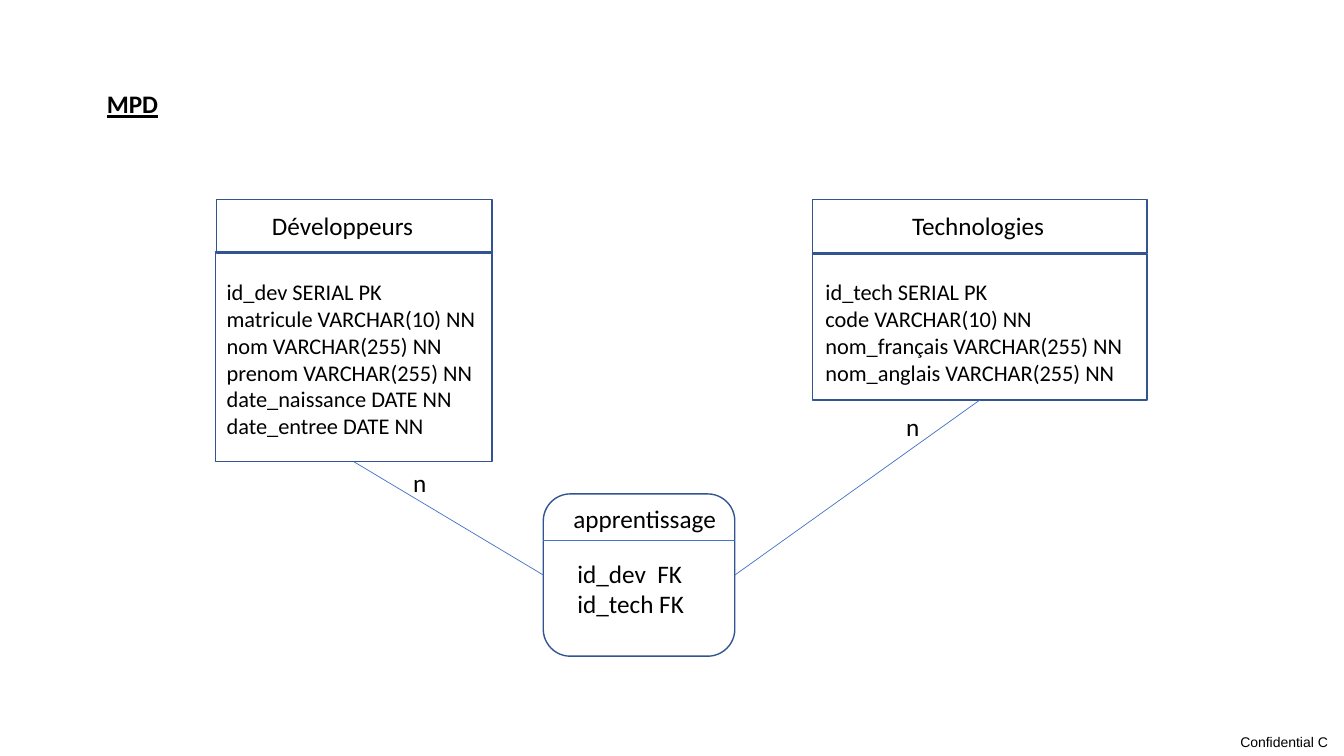
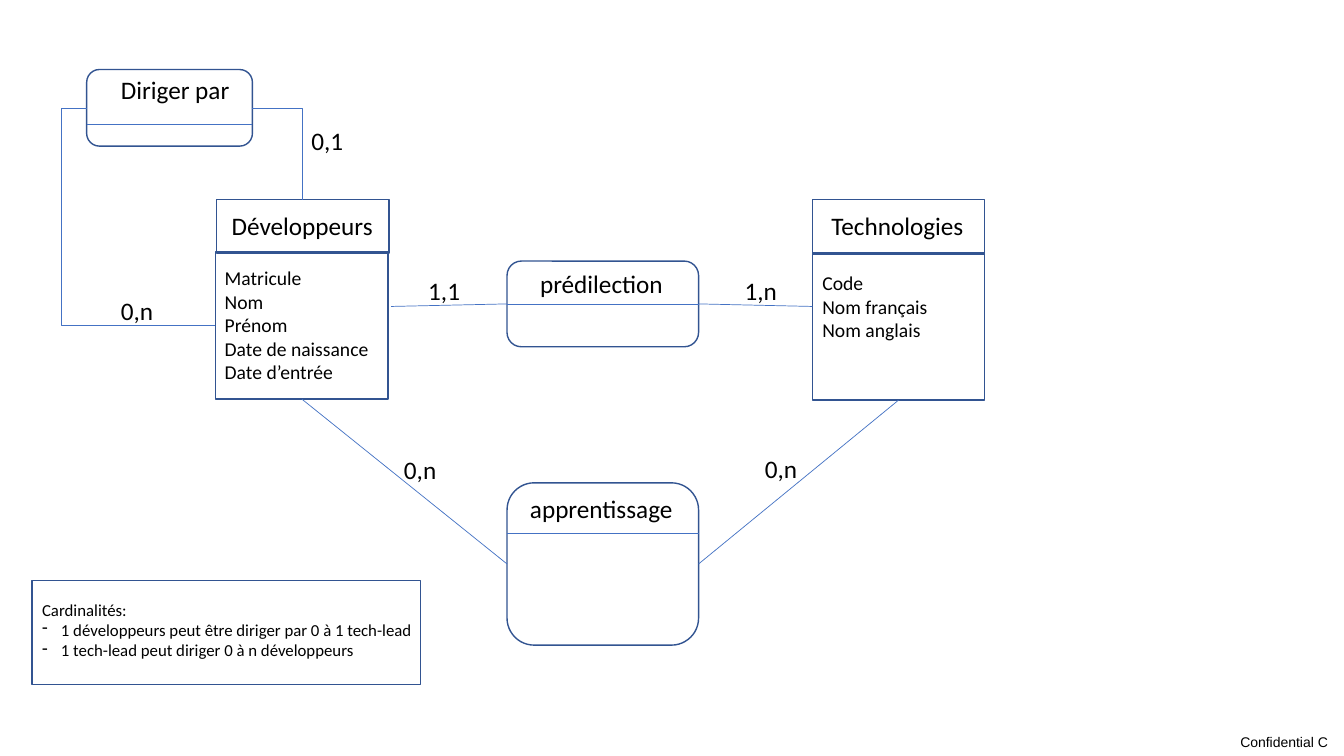
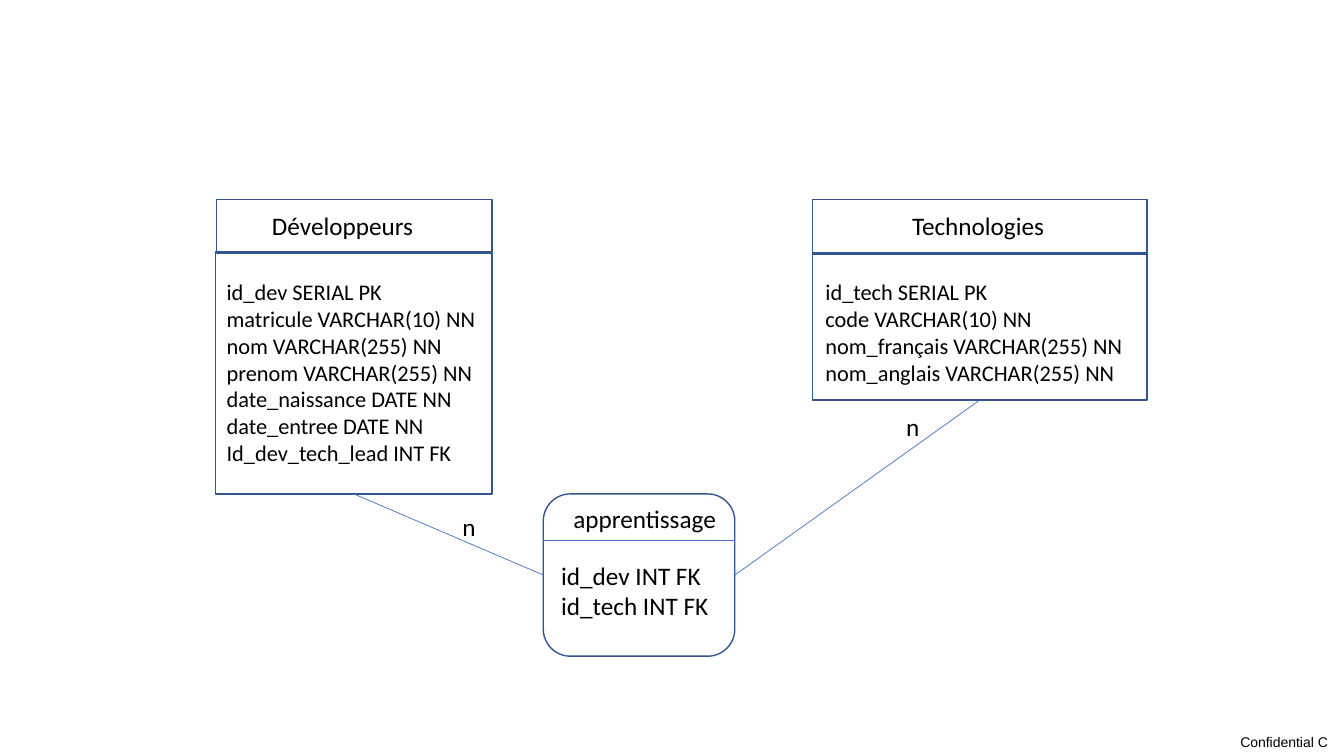
import pptx
import pptx.util
import pptx.dml.color
import pptx.enum.shapes
import pptx.enum.text
import pptx.oxml
import pptx.oxml.ns

Pt = pptx.util.Pt
RGBColor = pptx.dml.color.RGBColor
Shape = pptx.enum.shapes.MSO_SHAPE
Link = pptx.enum.shapes.MSO_CONNECTOR
Anchor = pptx.enum.text.MSO_ANCHOR
Align = pptx.enum.text.PP_ALIGN
Fit = pptx.enum.text.MSO_AUTO_SIZE

BLACK = RGBColor(0x00, 0x00, 0x00)
NAVY = RGBColor(0x32, 0x54, 0x91)
BLUE = RGBColor(0x44, 0x72, 0xC4)
RECT, ROUND = Shape.RECTANGLE, Shape.ROUNDED_RECTANGLE
TOP, LEFT, BOTTOM, RIGHT = range(4)
HEAD_Y, HEAD_H = 142.6, 38.2


def write(shape, text, **style):
    """Fill a shape with unwrapped lines; a line starting with "- " is a bullet."""
    frame = shape.text_frame
    frame.word_wrap = False
    frame.auto_size = Fit.SHAPE_TO_FIT_TEXT
    frame.vertical_anchor = Anchor.TOP
    for i, line in enumerate(text.split("\n")):
        para = frame.add_paragraph() if i else frame.paragraphs[0]
        para.alignment = Align.LEFT
        if line.startswith("- "):
            line = line[2:]
            props = para._p.get_or_add_pPr()
            props.set("marL", str(Pt(13.5)))
            props.set("indent", str(-Pt(13.5)))
            dash = pptx.oxml.ns.qn("a:buChar")
            props.append(props.makeelement(dash, {"char": "-"}))
        run = para.add_run()
        run.text = line
        for key, value in ({"name": "Calibri", "size": Pt(18)} | style).items():
            setattr(run.font, key, value)
        run.font.color.rgb = BLACK


def tables(extra, high, mark, keys, spot):
    """Describe a slide of physical tables; the first table has a varying height."""
    return {
        "boxes": {
            "dev head": (RECT, 154.8, HEAD_Y, 196.6, HEAD_H),
            "dev": (RECT, 154.1, 180, 197.3, high),
            "tech head": (RECT, 580.3, HEAD_Y, 239, HEAD_H),
            "tech": (RECT, 580.3, 181.4, 239, 104.4),
            "learn": (ROUND, 388.1, 352.8, 136.8, 115.9),
        },
        "rules": {"learn": 385.9},
        "links": [
            (("dev", BOTTOM), ("learn", LEFT)),
            (("learn", RIGHT), ("tech", BOTTOM)),
        ],
        "texts": [
            ("Développeurs", 187.2, 146.9, 115.2, 18),
            ("id_dev SERIAL PK\nmatricule VARCHAR(10) NN\nnom VARCHAR(255) NN\n"
             "prenom VARCHAR(255) NN\ndate_naissance DATE NN\n"
             "date_entree DATE NN" + extra, 154.8, 195.1, 194.4, 16),
            ("Technologies", 644.4, 146.9, 110.2, 18),
            ("id_tech SERIAL PK\ncode VARCHAR(10) NN\nnom_français VARCHAR(255) NN\n"
             "nom_anglais VARCHAR(255) NN", 582.5, 195.1, 229.7, 16),
            ("apprentissage", 402.5, 355.7, 117.4, 18),
            (keys, *spot, 18),
            ("n", *mark, 24.5, 18),
            ("n", 640.1, 290.2, 24.5, 18),
        ],
    }


model = {
    "boxes": {
        "dev head": (RECT, 154.8, HEAD_Y, 123.1, HEAD_H),
        "dev": (RECT, 154.1, 180, 123.1, 105.1),
        "tech head": (RECT, 580.3, HEAD_Y, 123.1, HEAD_H),
        "tech": (RECT, 580.3, 181.4, 123.1, 104.4),
        "love": (ROUND, 362.2, 186.5, 136.8, 61.2),
        "learn": (ROUND, 362.2, 344.9, 136.8, 115.9),
        "lead": (ROUND, 61.9, 49.7, 118.4, 54.7),
        "note": (RECT, 23, 414.7, 277.2, 74.2),
    },
    "rules": {"love": 217.1, "learn": 380.9, "lead": 88.6},
    "links": [
        ((279.4, 218.9), ("love", LEFT)),
        ((580.3, 218.9), ("love", RIGHT)),
        (("dev", BOTTOM), ("learn", LEFT)),
        (("learn", RIGHT), ("tech", BOTTOM)),
    ],
    "bends": [
        ((180.3, 77.4), (216, 142.6), "bentConnector2", None),
        ((61.9, 77.4), (153.4, 232.6), "bentConnector3", -19800),
    ],
    "texts": [
        ("Développeurs", 158.4, 146.9, 115.2, 18),
        ("Matricule\nNom\nPrénom\nDate de naissance\nDate d’entrée",
         153.4, 186.5, 118.1, 14),
        ("Technologies", 586.8, 146.9, 110.2, 18),
        ("Code\nNom français\nNom anglais", 580.3, 190.1, 90, 14),
        ("prédilection", 378.7, 187.9, 103.7, 18),
        ("apprentissage", 371.5, 348.5, 117.4, 18),
        ("Diriger par", 79.2, 49.7, 92.9, 18),
        ("1,1", 298.8, 193, 37.4, 18),
        ("1,n", 524.9, 193, 38.2, 18),
        ("0,n", 281.5, 321.1, 38.2, 18),
        ("0,n", 539.3, 320.4, 38.2, 18),
        ("0,1", 215.3, 85.7, 37.4, 18),
        ("0,n", 79.2, 207.4, 38.2, 18),
        ("Cardinalités:\n- 1 développeurs peut être diriger par 0 à 1 tech-lead\n"
         "- 1 tech-lead peut diriger 0 à n développeurs", 23, 424.8, 280.8, 12),
    ],
}
pages = [
    tables("", 149.8, (288, 330.5), "id_dev  FK\nid_tech FK", (405.4, 395.3, 91.4))
    | {"title": "MPD"},
    model,
    tables("\nId_dev_tech_lead INT FK", 172.8, (323.3, 361.4),
           "id_dev INT FK\nid_tech INT FK", (393.8, 396.7, 121)),
]

deck = pptx.Presentation()
deck.slide_width, deck.slide_height = Pt(960), Pt(540)

for page in pages:
    slide = deck.slides.add_slide(deck.slide_layouts[5 if "title" in page else 6])
    shapes = slide.shapes

    if "title" in page:
        title = shapes.title
        title.left, title.top, title.width, title.height = map(Pt, (69.1, 59.8, 51.8, 28.8))
        write(title, page["title"], bold=True, underline=True)

    boxes = {}
    for name, (kind, *place) in page["boxes"].items():
        box = boxes[name] = shapes.add_shape(kind, *map(Pt, place))
        box.shadow.inherit = False
        box.fill.background()
        box.line.color.rgb = NAVY
        box.line.width = Pt(1)

    lines = []
    for name, y in page["rules"].items():
        box = boxes[name]
        lines.append(shapes.add_connector(
            Link.STRAIGHT, box.left, Pt(y), box.left + box.width, Pt(y)))

    for start, stop in page["links"]:
        line = shapes.add_connector(Link.STRAIGHT, 0, 0, 0, 0)
        if start[0] in boxes:
            line.begin_connect(boxes[start[0]], start[1])
        else:
            line.begin_x, line.begin_y = map(Pt, start)
        line.end_connect(boxes[stop[0]], stop[1])
        lines.append(line)

    for start, stop, form, bend in page.get("bends", []):
        line = shapes.add_connector(Link.ELBOW, *map(Pt, start + stop))
        geom = line.element.spPr.find(pptx.oxml.ns.qn("a:prstGeom"))
        geom.set("prst", form)
        if bend is not None:
            guide = geom.makeelement(
                pptx.oxml.ns.qn("a:gd"), {"name": "adj1", "fmla": f"val {bend}"})
            geom.find(pptx.oxml.ns.qn("a:avLst")).append(guide)
        lines.append(line)

    for line in lines:
        line.line.color.rgb = BLUE
        line.line.width = Pt(0.5)
        props = line.element.spPr
        props.append(props.makeelement(pptx.oxml.ns.qn("a:effectLst"), {}))

    for text, x, y, wide, size in page["texts"]:
        high = (text.count("\n") + 1) * size * 1.2 + 7.2
        write(shapes.add_textbox(Pt(x), Pt(y), Pt(wide), Pt(high)), text, size=Pt(size))

# The footer sits on the master, so every slide shows it.
foot = shapes.add_textbox(Pt(874.8), Pt(520.6), Pt(85.2), Pt(19.4))
write(foot, "Confidential C", name="Arial", size=Pt(10))
frame = foot.text_frame
frame.auto_size = Fit.NONE
frame.word_wrap = True
frame.vertical_anchor = Anchor.MIDDLE
frame.margin_left = frame.margin_top = frame.margin_bottom = 0
frame.margin_right = Pt(11.5)
frame.paragraphs[0].alignment = Align.RIGHT
foot.element.nvSpPr.cNvPr.set("id", "20")
deck.slide_master.element.cSld.spTree.append(foot.element)

deck.save("out.pptx")
